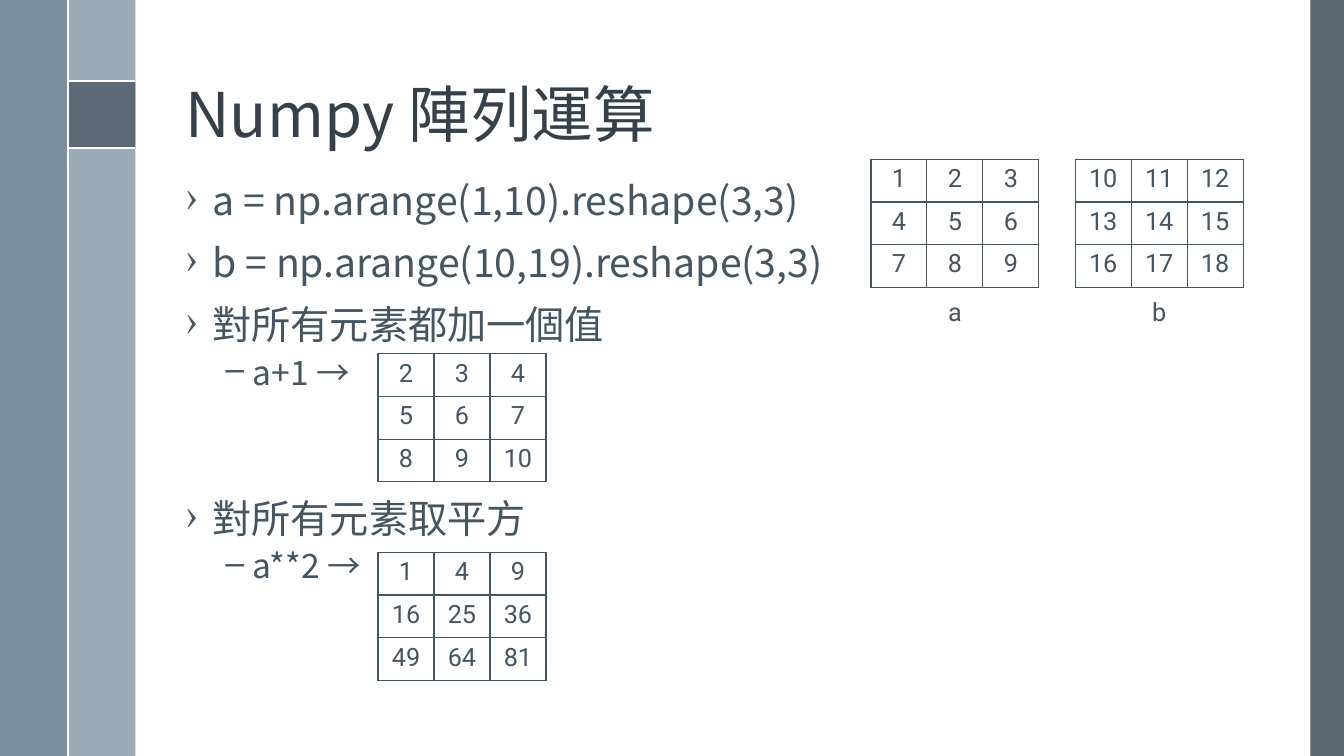
from lxml.etree import SubElement
from pptx import Presentation
from pptx.dml.color import RGBColor
from pptx.enum.shapes import MSO_CONNECTOR, MSO_SHAPE
from pptx.enum.text import MSO_ANCHOR, PP_ALIGN
from pptx.oxml.ns import qn
from pptx.util import Emu, Inches, Pt

WHITE = RGBColor(0xFF, 0xFF, 0xFF)
TITLE_INK = RGBColor(0x35, 0x40, 0x4A)
INK = RGBColor(0x46, 0x55, 0x62)
DARK_SLATE = RGBColor(0x47, 0x55, 0x62)
BLUE_SLATE = RGBColor(0x6A, 0x80, 0x93)
PALE_SLATE = RGBColor(0x9B, 0xAA, 0xB7)
HEADING_FONT = "Noto Sans CJK TC"
NUMBER_FONT = "Roboto"

deck = Presentation()
deck.slide_width, deck.slide_height = Inches(13.33), Inches(7.5)
slide = deck.slides.add_slide(deck.slide_layouts[5])
shapes = slide.shapes


def area(left, top, width, height):
    """Turn percentages of the slide's width and height into lengths."""
    across, down = deck.slide_width / 100, deck.slide_height / 100
    return [Emu(round(n)) for n in
            (left * across, top * down, width * across, height * down)]


def format_text(paragraph, size, font, color):
    """Set size, Latin and East Asian font and colour of a paragraph's runs."""
    for run in paragraph.runs:
        run.font.size = Pt(size)
        run.font.name = font
        run.font.color.rgb = color
        SubElement(run.font._element, qn("a:ea"), typeface=font)


# Side bands: percentages of the slide, colour, opacity
for place, color, opacity in [
    ((97.5, 0, 2.5, 100), DARK_SLATE, 90),
    ((5.07, 0, 5, 100), PALE_SLATE, 100),
    ((0, 0, 5, 100), BLUE_SLATE, 88),
    ((5.07, 10.7, 5, 8.9), DARK_SLATE, 75),
]:
    band = shapes.add_shape(MSO_SHAPE.RECTANGLE, *area(*place))
    band.shadow.inherit = False
    band.fill.solid()
    band.fill.fore_color.rgb = color
    band.line.fill.background()
    tint = band._element.spPr.find(qn("a:solidFill"))[0]
    SubElement(tint, qn("a:alpha"), val=str(opacity * 1000))

for ends in [(5.07, 10.7, 10.07, 10.7), (5.07, 19.6, 10.07, 19.6),
             (5.07, 0, 5.07, 100)]:
    divider = shapes.add_connector(MSO_CONNECTOR.STRAIGHT, *area(*ends))
    divider.line.color.rgb = WHITE
    divider.line.width = Pt(1.5)
    SubElement(divider._element.spPr, qn("a:effectLst"))

title = shapes.title
title.left, title.top, title.width, title.height = area(13.05, 2.4, 80.25, 18.2)
title.text_frame.text = "Numpy 陣列運算"
title.text_frame.vertical_anchor = MSO_ANCHOR.BOTTOM
heading = title.text_frame.paragraphs[0]
heading.alignment = PP_ALIGN.LEFT
heading.line_spacing = 0.9
format_text(heading, 44, HEADING_FONT, TITLE_INK)

# Outline: level, space before in points, wording
outline = [
    (0, 0, "a = np.arange(1,10).reshape(3,3)"),
    (0, 14, "b = np.arange(10,19).reshape(3,3)"),
    (0, 14, "對所有元素都加一個值"),
    (1, 6, "a+1 →"),
    (0, 76, "對所有元素取平方"),
    (1, 6, "a**2 →"),
]
body = shapes.add_textbox(*area(13.05, 23.4, 80.25, 66.7)).text_frame
body.word_wrap = True
body.text = "\n".join(wording for _, _, wording in outline)
for point, (level, gap, _) in zip(body.paragraphs, outline):
    point.level = level
    point.line_spacing = 0.9
    point.space_before = Pt(gap)
    format_text(point, (28, 24)[level], HEADING_FONT, INK)
    layout = point._p.get_or_add_pPr()
    layout.set("marL", str(Inches((0.27, 0.67)[level])))
    layout.set("indent", str(Inches(-0.27)))
    SubElement(layout, qn("a:buChar"), char="›–"[level])

# Matrices: left and top in percent, label below, the nine values
SIDE, DEPTH = 12.5, 16.93
a, b = range(1, 10), range(10, 19)
for left, top, label, values in [
    (64.8, 21.07, "a", a),
    (80, 21.07, "b", b),
    (28.13, 46.8, None, [n + 1 for n in a]),
    (28.13, 73.07, None, [n ** 2 for n in a]),
]:
    matrix = shapes.add_table(3, 3, *area(left, top, SIDE, DEPTH)).table
    matrix.first_row = matrix.horz_banding = False
    for cell, value in zip(matrix.iter_cells(), values):
        cell.text = str(value)
        entry = cell.text_frame.paragraphs[0]
        entry.alignment = PP_ALIGN.CENTER
        format_text(entry, 18, NUMBER_FONT, INK)
        borders = cell._tc.get_or_add_tcPr()
        for edge in ("a:lnL", "a:lnR", "a:lnT", "a:lnB"):
            border = SubElement(borders, qn(edge), w=str(Pt(1)))
            paint = SubElement(border, qn("a:solidFill"))
            SubElement(paint, qn("a:srgbClr"), val=str(INK))
        cell.fill.background()
    if label:
        caption = shapes.add_textbox(
            *area(left + SIDE / 2 - 1.3, top + DEPTH + 0.53, 2.6, 5.4)).text_frame
        caption.word_wrap = False
        caption.text = label
        caption.paragraphs[0].alignment = PP_ALIGN.CENTER
        format_text(caption.paragraphs[0], 18, NUMBER_FONT, INK)

deck.save("out.pptx")
